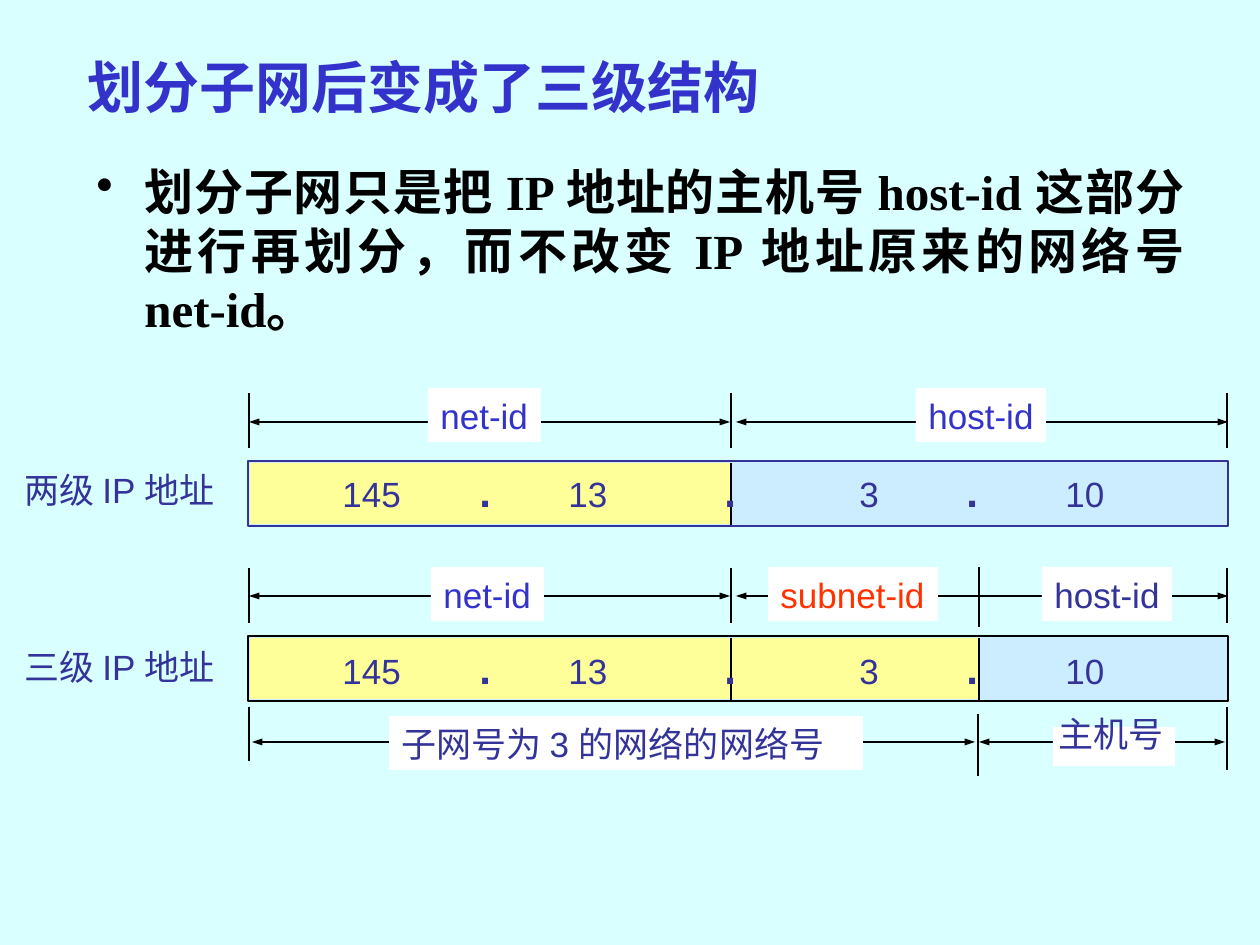
from lxml.etree import SubElement
from pptx import Presentation
from pptx.dml.color import RGBColor
from pptx.enum.shapes import MSO_CONNECTOR, MSO_SHAPE
from pptx.enum.text import MSO_ANCHOR, PP_ALIGN
from pptx.oxml.ns import qn
from pptx.util import Emu, Pt

PX = 914400 // 126
NAVY, BLUE, RED, BLACK, WHITE = "333399", "3333CC", "FF3300", "000000", "FFFFFF"
PALE_BLUE, YELLOW, BACKGROUND = "CCECFF", "FFFF99", "D9FFFF"
LEFT, NET_END, SUBNET_END, RIGHT = 249, 731, 979, 1227


def px(*lengths):
    return [Emu(length * PX) for length in lengths]


def color(hex_value):
    return RGBColor.from_string(hex_value)


class Diagram:
    """Draws styled elements on the current slide."""

    def __init__(self, slide):
        self.slide = slide

    def style(self, paragraph, size=20, hex_value=NAVY, name="Arial", bold=False):
        font = paragraph.font
        font.size, font.name, font.bold = Pt(size), name, bold
        font.color.rgb = color(hex_value)

    def title(self, text, *box):
        title = self.slide.shapes.title
        title.left, title.top, title.width, title.height = px(*box)
        title.text_frame.text = text
        title.text_frame.vertical_anchor = MSO_ANCHOR.MIDDLE
        heading = title.text_frame.paragraphs[0]
        heading.alignment = PP_ALIGN.CENTER
        self.style(heading, 32, BLUE, "Times New Roman", True)

    def bullet(self, text, *box):
        frame = self.slide.shapes.add_textbox(*px(*box)).text_frame
        frame.word_wrap = True
        paragraph = frame.paragraphs[0]
        paragraph.text = text
        paragraph.alignment = PP_ALIGN.JUSTIFY
        properties = paragraph._p.get_or_add_pPr()
        properties.set("marL", str(48 * PX))
        properties.set("indent", str(-48 * PX))
        SubElement(properties, qn("a:buChar"), char="•")
        self.style(paragraph, 28, BLACK, "Times New Roman", True)

    def rect(self, fill, *box, line=None):
        shape = self.slide.shapes.add_shape(MSO_SHAPE.RECTANGLE, *px(*box))
        shape.shadow.inherit = False
        shape.fill.solid()
        shape.fill.fore_color.rgb = color(fill)
        if line:
            shape.line.color.rgb = color(line)
            shape.line.width = Pt(1)
        else:
            shape.line.fill.background()
        return shape

    def set_text(self, shape, text, hex_value=NAVY):
        frame = shape.text_frame
        frame.word_wrap = False
        frame.vertical_anchor = MSO_ANCHOR.TOP
        frame.text = text
        frame.paragraphs[0].alignment = PP_ALIGN.LEFT
        self.style(frame.paragraphs[0], hex_value=hex_value)

    def text(self, text, *box):
        self.set_text(self.slide.shapes.add_textbox(*px(*box)), text)

    def label(self, text, hex_value, *box):
        self.set_text(self.rect(WHITE, *box), text, hex_value)

    def octets(self, parts, stops, *box):
        """Set numbers and larger bold dots, each at its own tab stop."""
        frame = self.slide.shapes.add_textbox(*px(*box)).text_frame
        frame.word_wrap = True
        frame.margin_right = 0
        paragraph = frame.paragraphs[0]
        tabs = SubElement(paragraph._p.get_or_add_pPr(), qn("a:tabLst"))
        for stop in stops:
            SubElement(tabs, qn("a:tab"), pos=str(stop * PX), algn="l")
        self.style(paragraph)
        for index, part in enumerate(parts):
            if index:
                paragraph.add_run().text = "\t"
            run = paragraph.add_run()
            run.text = part
            if part == ".":
                run.font.size, run.font.bold = Pt(24), True

    def line(self, x1, y1, x2, y2, width=1):
        connector = self.slide.shapes.add_connector(
            MSO_CONNECTOR.STRAIGHT, *px(x1, y1, x2, y2))
        connector.line.color.rgb = color(BLACK)
        connector.line.width = Pt(width)
        SubElement(connector._element.spPr, qn("a:effectLst"))
        return connector

    def span(self, x1, x2, y):
        """Draw a dimension line with an arrowhead at both ends."""
        outline = self.line(x1, y, x2, y).line._get_or_add_ln()
        for end in ("a:headEnd", "a:tailEnd"):
            SubElement(outline, qn(end), type="triangle", w="sm", len="med")

    def address(self, name, bar_top, text_top, outline, dividers):
        """Draw an address bar, yellow up to its last divider."""
        self.rect(PALE_BLUE, LEFT - 1, bar_top, 980, 65, line=outline)
        self.rect(YELLOW, LEFT + 1, bar_top + 2, dividers[-1] - LEFT - 2, 61)
        for x in dividers:
            self.line(x, bar_top + 2, x, bar_top + 64)
        self.octets(["145", ".", "13", "."], [137, 226, 382], 330, text_top, 418, 63)
        self.octets(["3", ".", "10"], [107, 206], 847, text_top, 271, 63)
        self.text(name, 12, text_top + 3, 242, 54)


def main():
    deck = Presentation()
    deck.slide_width, deck.slide_height = px(1260, 945)
    slide = deck.slides.add_slide(deck.slide_layouts[5])
    slide.background.fill.solid()
    slide.background.fill.fore_color.rgb = color(BACKGROUND)
    diagram = Diagram(slide)

    diagram.title("划分子网后变成了三级结构", 37, 27, 774, 118)
    diagram.bullet("划分子网只是把 IP 地址的主机号 host-id 这部分进行再划分，"
                   "而不改变 IP 地址原来的网络号 net-id。", 84, 155, 1113, 192)

    diagram.address("两级 IP 地址", 461, 459, NAVY, [NET_END])
    diagram.address("三级 IP 地址", 636, 636, BLACK, [NET_END, SUBNET_END])

    for top in (393, 568):
        for x in (LEFT, NET_END, RIGHT):
            diagram.line(x, top, x, top + 55, 0.75)
    diagram.line(SUBNET_END, 567, SUBNET_END, 627, 0.75)
    diagram.line(LEFT, 707, LEFT, 761, 0.75)
    diagram.line(SUBNET_END - 1, 714, SUBNET_END - 1, 776)
    diagram.line(RIGHT, 707, RIGHT, 770)

    for y in (422, 596):
        diagram.span(LEFT, NET_END - 1, y)
        diagram.span(NET_END + 5, RIGHT + 1, y)
    diagram.span(252, 975, 742)
    diagram.span(979, 1225, 742)

    for text, hex_value, left, top, width in (
            ("net-id", BLUE, 428, 388, 113),
            ("host-id", BLUE, 916, 388, 130),
            ("net-id", BLUE, 431, 567, 113),
            ("subnet-id", RED, 768, 567, 170),
            ("host-id", NAVY, 1042, 567, 130),
            ("子网号为 3 的网络的网络号", NAVY, 389, 716, 474)):
        diagram.label(text, hex_value, left, top, width, 54)
    diagram.rect(WHITE, 1053, 727, 122, 39)
    diagram.text("主机号", 1046, 706, 130, 54)

    deck.save("out.pptx")


if __name__ == "__main__":
    main()
